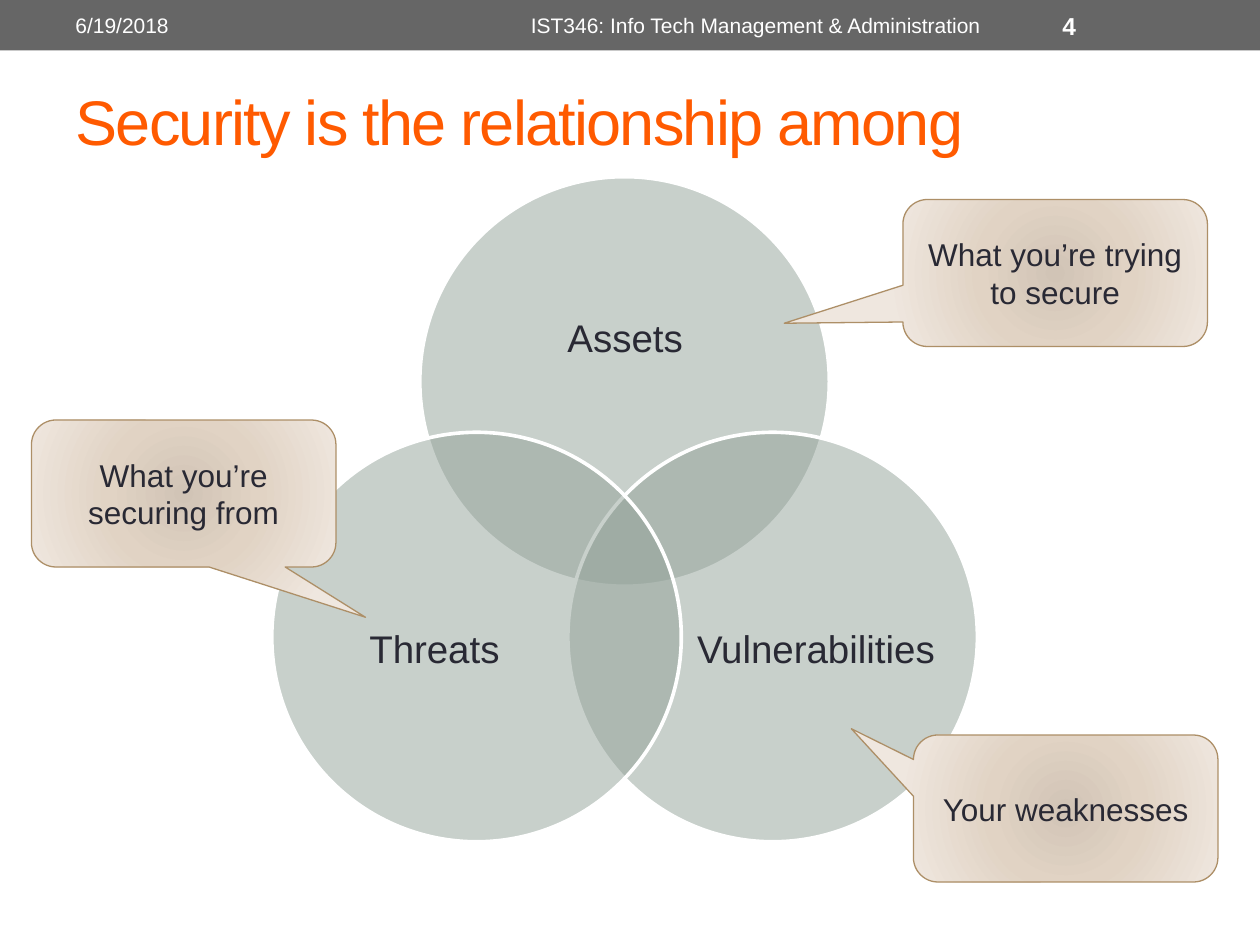
import pptx
import pptx.util
import pptx.dml.color
import pptx.enum.shapes
import pptx.enum.text
import pptx.oxml
import pptx.oxml.ns

Pt = pptx.util.Pt
RGB = pptx.dml.color.RGBColor
KIND = pptx.enum.shapes.MSO_SHAPE
ALIGN = pptx.enum.text.PP_ALIGN
MID = pptx.enum.text.MSO_ANCHOR.MIDDLE

WHITE = RGB(0xFF, 0xFF, 0xFF)
GRAY = RGB(0x66, 0x66, 0x66)
ORANGE = RGB(0xFF, 0x5A, 0x00)
SAGE = RGB(0x93, 0xA2, 0x99)
INK = RGB(0x29, 0x29, 0x34)
TAN = RGB(0xAD, 0x8F, 0x67)
STOPS = [
    (0, RGB(0xD1, 0xC4, 0xB6)),
    (45, RGB(0xE1, 0xD3, 0xC4)),
    (100, RGB(0xEF, 0xE7, 0xDF)),
]


def write(shape, text, size, color=INK, align=ALIGN.CENTER, bold=False, inset=None, space=None):
    frame = shape.text_frame
    frame.word_wrap = True
    frame.auto_size = pptx.enum.text.MSO_AUTO_SIZE.NONE
    frame.vertical_anchor = MID
    if inset is not None:
        frame.margin_left = frame.margin_right = Pt(inset)
        frame.margin_top = frame.margin_bottom = Pt(inset)
    para = frame.paragraphs[0]
    para.alignment = align
    para.line_spacing = space
    run = para.add_run()
    run.text = text
    run.font.name = "Arial"
    run.font.size = Pt(size)
    run.font.bold = bold
    run.font.color.rgb = color
    return run


deck = pptx.Presentation()
deck.slide_width, deck.slide_height = Pt(720), Pt(540)
slide = deck.slides.add_slide(deck.slide_layouts[5])
shapes = slide.shapes

bar = shapes.add_shape(KIND.RECTANGLE, 0, 0, Pt(720), Pt(28.8))
bar.shadow.inherit = False
bar.fill.solid()
bar.fill.fore_color.rgb = GRAY
bar.line.fill.background()

title = shapes.title
title.left, title.top, title.width, title.height = Pt(36), Pt(42), Pt(648), Pt(54)
run = write(title, "Security is the relationship among", 36, color=ORANGE, align=ALIGN.LEFT)
run.font._element.set("spc", "-100")

circles = [
    ("Assets", 239.9, 101, (271.5, 142, 171.5, 105)),
    ("Vulnerabilities", 324.5, 247, (396, 307.5, 140.5, 129)),
    ("Threats", 155.3, 247, (178, 307.5, 140.5, 129)),
]
for text, left, top, area in circles:
    ring = shapes.add_shape(KIND.OVAL, Pt(left), Pt(top), Pt(234), Pt(234))
    ring.shadow.inherit = False
    ring.fill.solid()
    ring.fill.fore_color.rgb = SAGE
    tint = ring._element.spPr.find(".//" + pptx.oxml.ns.qn("a:srgbClr"))
    alpha = pptx.oxml.parse_xml(f'<a:alpha {pptx.oxml.ns.nsdecls("a")} val="50000"/>')
    tint.append(alpha)
    ring.line.color.rgb = WHITE
    ring.line.width = Pt(2.08)
    label = shapes.add_textbox(*map(Pt, area))
    write(label, text, 22, inset=0, space=0.9)

marks = "".join(
    f'<a:gs pos="{pos * 1000}"><a:srgbClr val="{color}"/></a:gs>' for pos, color in STOPS
)
blend = (
    f'<a:gradFill {pptx.oxml.ns.nsdecls("a")} rotWithShape="1"><a:gsLst>{marks}</a:gsLst>'
    '<a:path path="circle"><a:fillToRect l="100000" t="100000" r="100000" b="100000"/>'
    "</a:path></a:gradFill>"
)
notes = [
    ("What you’re trying to secure", 516, 114, (-0.89, 0.342)),
    ("Your weaknesses", 522, 420, (-0.704, -0.543)),
    ("What you’re securing from", 18, 240, (0.597, 0.842)),
]
for text, left, top, tip in notes:
    note = shapes.add_shape(
        KIND.ROUNDED_RECTANGULAR_CALLOUT, Pt(left), Pt(top), Pt(174), Pt(84)
    )
    note.shadow.inherit = False
    note.adjustments[0], note.adjustments[1] = tip
    shell = note._element.spPr.find(pptx.oxml.ns.qn("a:prstGeom"))
    shell.addnext(pptx.oxml.parse_xml(blend))
    note.line.color.rgb = TAN
    note.line.width = Pt(0.75)
    write(note, text, 18)

heads = [
    ("6/19/2018", 36, 228, 12, ALIGN.LEFT, False),
    ("IST346: Info Tech Management & Administration", 270, 324, 12, ALIGN.CENTER, False),
    ("4", 600, 84, 14, ALIGN.LEFT, True),
]
for text, left, width, size, align, bold in heads:
    head = shapes.add_textbox(Pt(left), Pt(1.5), Pt(width), Pt(26))
    write(head, text, size, color=WHITE, align=align, bold=bold)

deck.save("out.pptx")
